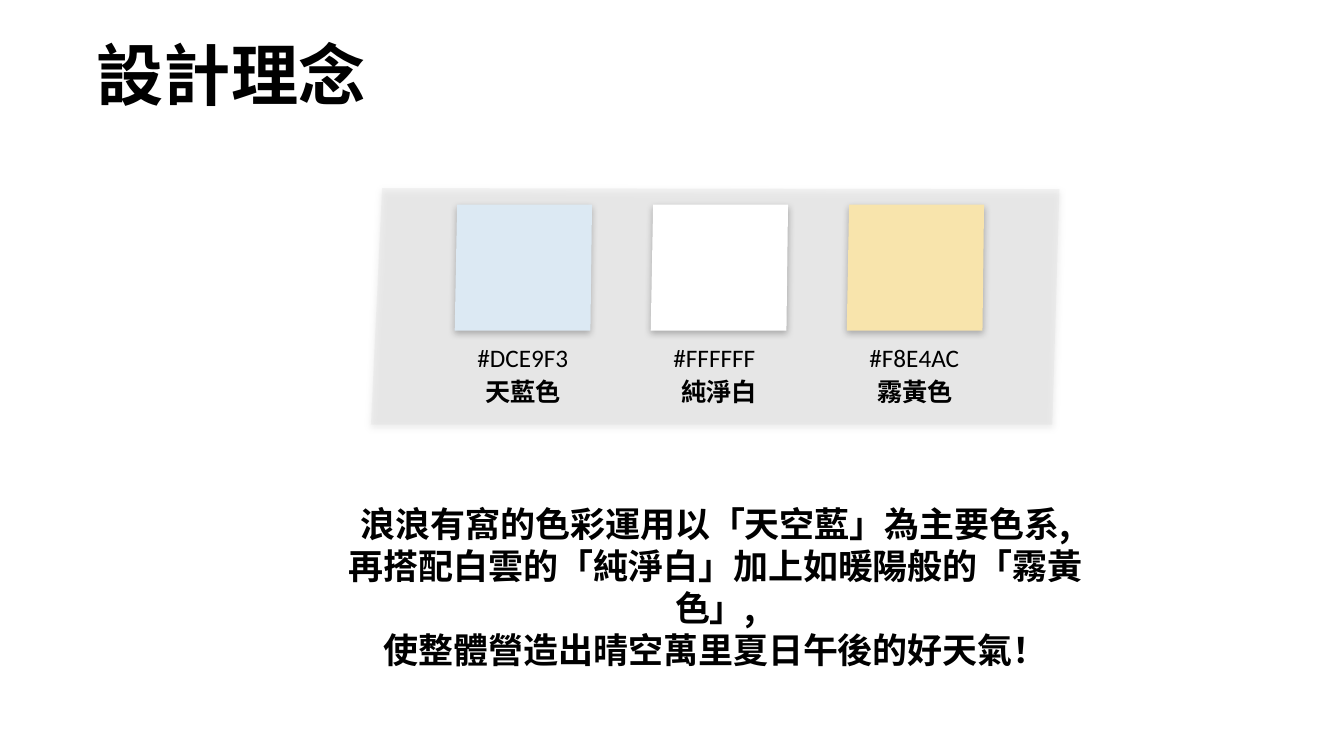
import pptx
import pptx.util
import pptx.dml.color
import pptx.enum.text
import pptx.oxml
import pptx.oxml.ns

Cm = pptx.util.Cm
Pt = pptx.util.Pt
RGB = pptx.dml.color.RGBColor
ALIGN = pptx.enum.text.PP_ALIGN
qn = pptx.oxml.ns.qn

BLACK = RGB(0x00, 0x00, 0x00)
GREY = RGB(0xDD, 0xDD, 0xDD)
SKY = RGB(0xDC, 0xE9, 0xF3)
WHITE = RGB(0xFF, 0xFF, 0xFF)
MIST = RGB(0xF8, 0xE4, 0xAC)

COLORS = [(SKY, "天藍色"), (WHITE, "純淨白"), (MIST, "霧黃色")]
PITCH = 4.94
PANEL = [(9.63, 4.74), (26.7, 4.77), (26.52, 10.7), (9.35, 10.7)]
SWATCH = [(11.52, 5.16), (14.92, 5.16), (14.88, 8.33), (11.46, 8.33)]
BODY = [
    "浪浪有窩的色彩運用以「天空藍」為主要色系,",
    "再搭配白雲的「純淨白」加上如暖陽般的「霧黃色」,",
    "使整體營造出晴空萬里夏日午後的好天氣！",
]
SHADOW = (
    '<a:outerShdw xmlns:a="http://schemas.openxmlformats.org/drawingml/2006/main"'
    ' blurRad="63500" dist="25400" dir="5400000" rotWithShape="0">'
    '<a:srgbClr val="000000"><a:alpha val="26000"/></a:srgbClr></a:outerShdw>'
)


class Board:
    cjk = "Noto Sans CJK SC"
    latin = "Calibri"
    inset = Cm(0.13)

    def __init__(self, deck):
        self.slide = deck.slides.add_slide(deck.slide_layouts[6])

    def text(self, box, lines, size, bold=True, lead=None, align=ALIGN.LEFT, wrap=False):
        frame = self.slide.shapes.add_textbox(*map(Cm, box)).text_frame
        frame.word_wrap = wrap
        frame.margin_left = frame.margin_right = self.inset
        frame.margin_top = frame.margin_bottom = self.inset
        for i, line in enumerate(lines):
            para = frame.add_paragraph() if i else frame.paragraphs[0]
            para.alignment = align
            if lead:
                para.line_spacing = Pt(lead)
            run = para.add_run()
            run.text = line
            font = run.font
            font.size = Pt(size)
            font.bold = bold
            font.color.rgb = BLACK
            font.name = self.cjk if bold else self.latin
            east = run._r.get_or_add_rPr().makeelement(qn("a:ea"), {"typeface": self.cjk})
            run._r.rPr.append(east)

    def quad(self, points, color, alpha=None):
        """Draw a closed, softly shadowed outline through the points."""
        first, *rest = [(Cm(x), Cm(y)) for x, y in points]
        pen = self.slide.shapes.build_freeform(*first)
        pen.add_line_segments(rest, close=True)
        shape = pen.convert_to_shape()
        shape.fill.solid()
        shape.fill.fore_color.rgb = color
        shape.line.fill.background()
        shape.shadow.inherit = False
        props = shape._element.spPr
        props.find(qn("a:effectLst")).append(pptx.oxml.parse_xml(SHADOW))
        if alpha:
            tint = props.find(qn("a:solidFill")).find(qn("a:srgbClr"))
            tint.append(tint.makeelement(qn("a:alpha"), {"val": str(alpha * 1000)}))


def main():
    deck = pptx.Presentation()
    deck.slide_width, deck.slide_height = Cm(33.87), Cm(19.05)
    board = Board(deck)
    board.text((2.31, 0.6, 31.45, 2.62), ["設計理念"], 48, lead=61, wrap=True)
    board.text((8.37, 12.53, 19.33, 5.13), BODY, 25, lead=30, align=ALIGN.CENTER, wrap=True)
    board.quad(PANEL, GREY, alpha=30)
    for i, (color, name) in enumerate(COLORS):
        dx = i * PITCH
        board.quad([(x + dx, y) for x, y in SWATCH], color)
        board.text((11.9 + dx, 8.49, 2.8, 0.91), [f"#{color}"], 18, bold=False)
        board.text((12.1 + dx, 9.3, 2.18, 1.14), [name], 18, lead=23)
    deck.save("out.pptx")


if __name__ == "__main__":
    main()
